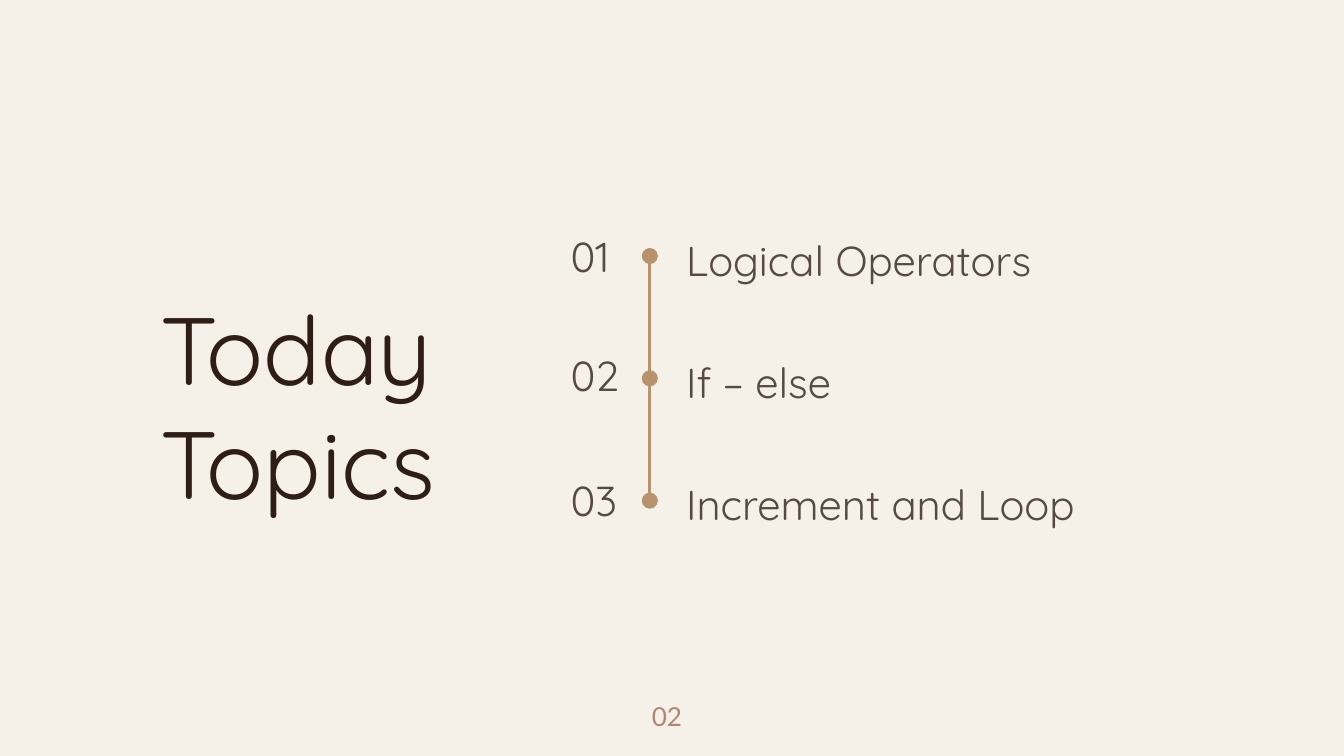
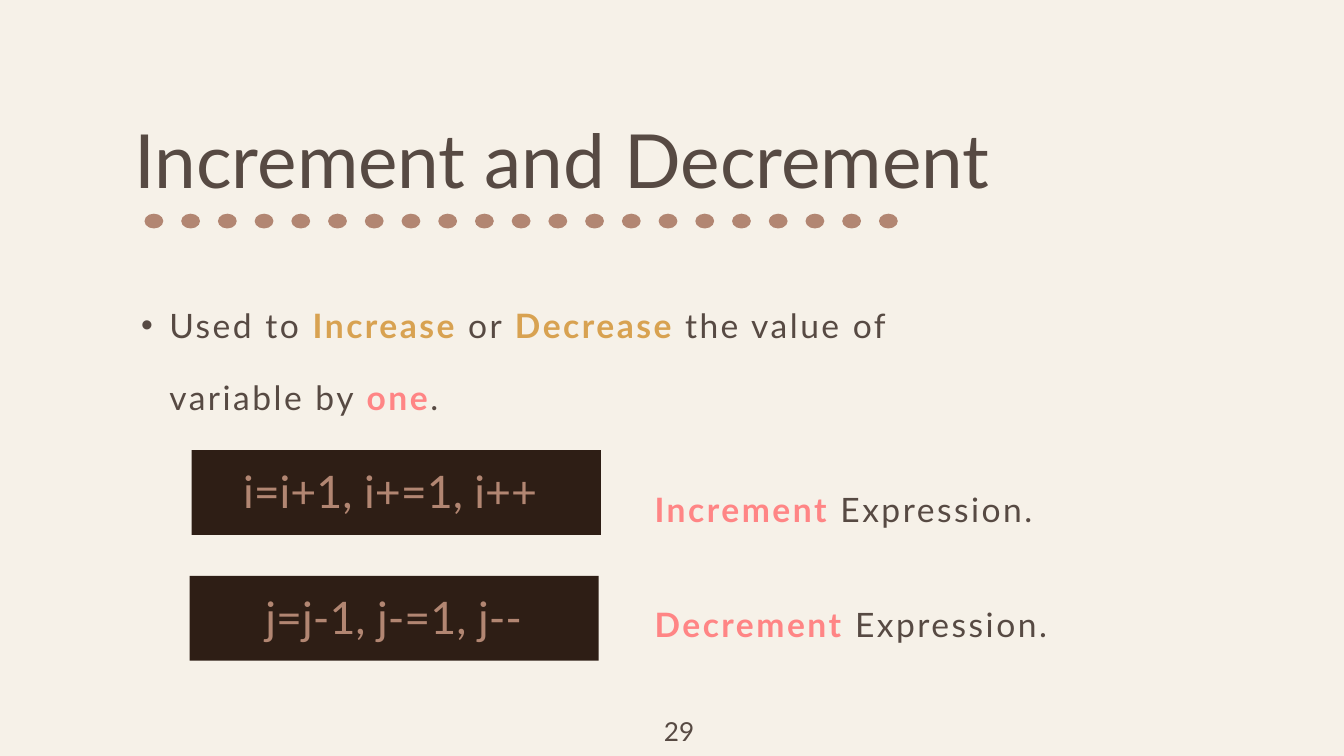
from math import cos, pi, sin

from lxml import etree
from pptx import Presentation
from pptx.dml.color import RGBColor as RGB
from pptx.enum.shapes import MSO_CONNECTOR as LINE, MSO_SHAPE as SHAPE
from pptx.enum.text import MSO_AUTO_SIZE as FIT, PP_ALIGN as ALIGN
from pptx.oxml.ns import qn
from pptx.util import Inches, Pt

# Shared colours, fonts and formats
CREAM = RGB(0xF6, 0xF1, 0xE8)
DARK = RGB(0x2E, 0x1E, 0x15)
INK = RGB(0x57, 0x4A, 0x43)
CLAY = RGB(0xB2, 0x86, 0x72)
TAN = RGB(0xB8, 0x92, 0x6B)
GOLD = RGB(0xD8, 0xA2, 0x51)
PINK = RGB(0xFF, 0x85, 0x85)
STRONG = (GOLD, PINK)

HEAD = {"name": "Quicksand", "size": Pt(102.4)}
TOPIC = {"name": "Quicksand", "size": Pt(44.8)}
TITLE = {"name": "Lato", "size": Pt(80)}
BODY = {"name": "Lato", "size": Pt(36)}
CODE = {"name": "Lato", "size": Pt(48)}
FOOT = {"name": "Lato", "size": Pt(28)}

# Slide size and grid of 20 columns by 11.25 rows
deck = Presentation()
deck.slide_width, deck.slide_height = Inches(20), Inches(11.25)
COL = deck.slide_width / 20
ROW = deck.slide_height / 11.25


def write(page, box, lines, form, lead, align=ALIGN.LEFT, space=0, left=0, hang=0):
    """Add a text box; each line is a list of (words, colour) runs."""
    x, y, w, h = box
    area = page.shapes.add_textbox(int(x * COL), int(y * ROW), int(w * COL), int(h * ROW))
    frame = area.text_frame
    frame.word_wrap, frame.auto_size = True, FIT.SHAPE_TO_FIT_TEXT
    for side in ("left", "top", "right", "bottom"):
        setattr(frame, f"margin_{side}", 0)
    for n, line in enumerate(lines):
        para = frame.add_paragraph() if n else frame.paragraphs[0]
        para.line_spacing, para.alignment = Pt(lead), align
        prop = para._p.get_or_add_pPr()
        if left:
            para.level = 1
            prop.set("marL", str(int(left * COL)))
            prop.set("indent", str(int(-hang * COL)))
        if hang:
            etree.SubElement(prop, qn("a:buFont")).set("typeface", "Arial")
            etree.SubElement(prop, qn("a:buChar")).set("char", "•")
        for words, tone in line:
            run = para.add_run()
            run.text = words
            for key, value in form.items():
                setattr(run.font, key, value)
            run.font.color.rgb = tone
            run.font.bold = tone in STRONG
            if space:
                run._r.get_or_add_rPr().set("spc", str(int(space * 100)))


def paint(item, tone):
    """Give a shape a flat fill without line or shadow."""
    item.shadow.inherit = False
    item.fill.solid()
    item.fill.fore_color.rgb = tone
    item.line.fill.background()


agenda, steps = [deck.slides.add_slide(deck.slide_layouts[6]) for _ in range(2)]
for page in (agenda, steps):
    page.background.fill.solid()
    page.background.fill.fore_color.rgb = CREAM

# Slide 1: timeline
AXIS, TOP, GAP, DOT = 9.67, 3.81, 1.82, 0.24
rail = agenda.shapes.add_connector(
    LINE.STRAIGHT, int(AXIS * COL), int(TOP * ROW), int(AXIS * COL), int((TOP + 2 * GAP) * ROW))
rail.line.color.rgb, rail.line.width = TAN, Pt(3.6)
etree.SubElement(rail._element.spPr, qn("a:effectLst"))

# Slide 1: topics with their numbers
topics = [("Logical Operators", 3.43, 5.96), ("If – else", 5.21, 6.65),
          ("Increment and Loop", 7.06, 7.52)]
for n, (topic, top, wide) in enumerate(topics):
    mid = TOP + n * GAP
    dot = agenda.shapes.add_shape(
        SHAPE.OVAL, int((AXIS - DOT / 2) * COL), int((mid - DOT / 2) * ROW),
        int(DOT * COL), int(DOT * ROW))
    paint(dot, TAN)
    write(agenda, (8.49, top, 0.83, 0.75), [[(f"{n + 1:02}", INK)]], TOPIC, 53.8)
    write(agenda, (10.21, mid - 0.51, wide, 0.87), [[(topic, INK)]], TOPIC, 67.2)

# Slide 1: heading and page number
write(agenda, (2.39, 4.31, 5.05, 3.37), [[("Today", DARK)], [("Topics", DARK)]], HEAD, 122.8)
write(agenda, (9.7, 10.43, 0.62, 0.46), [[("02", CLAY)]], FOOT, 33.6)

# Slide 2: title over a dotted rule, one outline with a contour per dot
write(steps, (2, 1.69, 15, 1.35), [[("Increment and Decrement", INK)]], TITLE, 96)
COUNT, FIRST, LAST, MID, SIDES = 21, 2.29, 13.22, 3.29, 12
pen = None
for n in range(COUNT):
    x = FIRST + n * (LAST - FIRST) / (COUNT - 1)
    turns = [2 * pi * k / SIDES for k in range(SIDES)]
    ring = [(int((x + 0.14 * cos(t)) * COL), int((MID + 0.11 * sin(t)) * ROW)) for t in turns]
    if pen:
        pen.move_to(*ring[0])
    else:
        pen = steps.shapes.build_freeform(*ring[0])
    pen.add_line_segments(ring[1:], close=True)
paint(pen.convert_to_shape(), CLAY)

# Slide 2: explanation
rule = [("Used to ", INK), ("Increase ", GOLD), ("or", INK), (" Decrease ", GOLD),
        ("the value of variable by ", INK), ("one", PINK), (".", INK)]
write(steps, (1.67, 4.07, 12.67, 2.04), [rule], BODY, 77, space=2.7, left=0.85, hang=0.42)

# Slide 2: code boxes with their labels
codes = [("i=i+1, i+=1, i++ ", "Increment", 2.85, 6.7, 6.81, 8.61),
         ("j=j-1, j-=1, j--", "Decrement", 2.82, 8.57, 8.52, 8.02)]
for code, label, x, y, top, wide in codes:
    panel = steps.shapes.add_shape(
        SHAPE.RECTANGLE, int(x * COL), int(y * ROW), int(6.09 * COL), int(1.26 * ROW))
    paint(panel, DARK)
    write(steps, (x - 0.17, y + 0.38, 6.42, 0.68), [[(code, CLAY)]], CODE, 45, ALIGN.CENTER)
    write(steps, (9.32, top, wide, 0.96), [[(label, PINK), (" Expression.", INK)]],
          BODY, 77, space=2.7, left=0.42)

# Slide 2: page number
write(steps, (9.07, 10.64, 1.26, 0.48), [[("29", INK)]], FOOT, 33.6, ALIGN.RIGHT)

deck.save("out.pptx")
